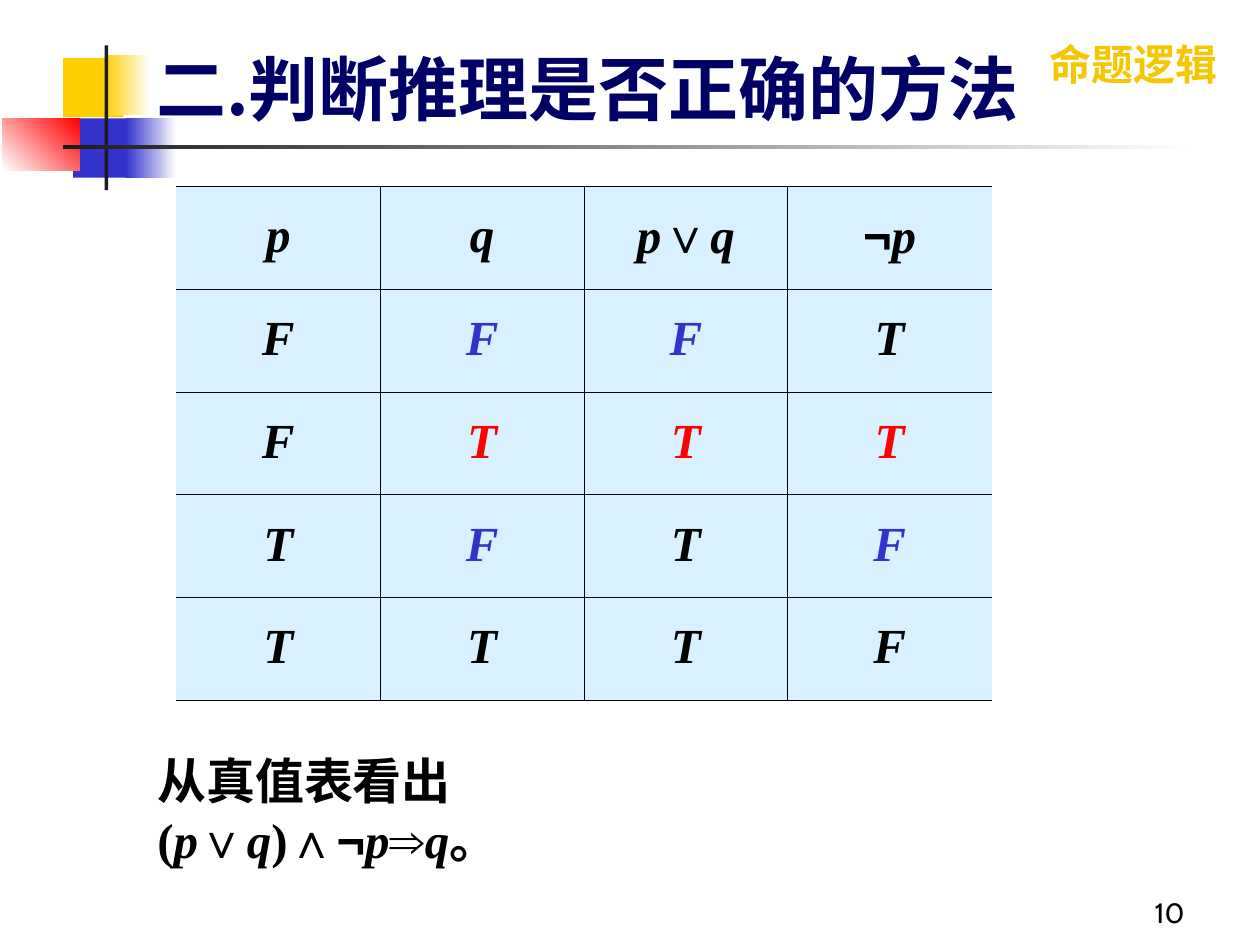
from lxml import etree
from pptx import Presentation
from pptx.dml.color import RGBColor
from pptx.enum.shapes import MSO_SHAPE
from pptx.enum.text import MSO_ANCHOR, MSO_AUTO_SIZE, PP_ALIGN
from pptx.oxml.ns import qn
from pptx.util import Inches, Pt

RECTANGLE = MSO_SHAPE.RECTANGLE
BOTTOM, TOP = MSO_ANCHOR.BOTTOM, MSO_ANCHOR.TOP
LEFT, CENTER, RIGHT = PP_ALIGN.LEFT, PP_ALIGN.CENTER, PP_ALIGN.RIGHT
NO_AUTO_SIZE = MSO_AUTO_SIZE.NONE

SERIF, SANS, CJK, BODY = "Times New Roman", "Arial", "Noto Sans CJK SC", "Cabin"
BLACK, WHITE, RED, BLUE = "000000", "FFFFFF", "FF0000", "3333CC"
YELLOW, GOLD, NAVY, CHARCOAL, PALE_BLUE = "FFCF01", "F6C700", "000066", "1C1C1C", "D9F1FF"
OUTER_WIDTH, INNER_WIDTH = 1.08, 0.45

HEADINGS = ["p", "q", "p∨q", "¬p"]
TRUTH_ROWS = ["FFFT", "FTTT", "TFTF", "TTTF"]
CELL_COLORS = {(1, 1): BLUE, (1, 2): BLUE, (2, 1): RED, (2, 2): RED,
               (2, 3): RED, (3, 1): BLUE, (3, 3): BLUE}


def color(value):
    return RGBColor.from_string(value)


def add_block(page, area, start, end=None, angle=0):
    block = page.shapes.add_shape(RECTANGLE, *map(Inches, area))
    block.shadow.inherit = False
    block.line.fill.background()
    if end is None:
        block.fill.solid()
        block.fill.fore_color.rgb = color(start)
        return
    block.fill.gradient()
    block.fill.gradient_angle = angle
    for stop, shade in zip(block.fill.gradient_stops, (start, end)):
        stop.color.rgb = color(shade)


def add_span(para, text, size, font, shade=BLACK, bold=True, italic=False):
    span = para.add_run()
    span.text = text
    span.font.size = Pt(size)
    span.font.name = font
    span.font.bold = bold
    span.font.italic = italic
    span.font.color.rgb = color(shade)
    if font == CJK:
        east_asian = etree.SubElement(span.font._element, qn("a:ea"))
        east_asian.set("typeface", font)


def add_formula(para, formula, shade=BLACK):
    for symbol in formula:
        font = SANS if symbol in "∨∧¬⇒" else SERIF
        add_span(para, symbol, 28, font, shade, italic=symbol.isalpha())


def add_text_box(page, area, anchor=TOP, align=LEFT, wrap=False):
    box = page.shapes.add_textbox(*map(Inches, area))
    frame = box.text_frame
    frame.auto_size = NO_AUTO_SIZE
    frame.word_wrap = wrap
    frame.vertical_anchor = anchor
    para = frame.paragraphs[0]
    para.alignment = align
    return para


def add_title(page, text):
    title = page.shapes.title
    title.left, title.top = Inches(1.14), Inches(0.21)
    title.width, title.height = Inches(8.03), Inches(0.87)
    page.shapes._spTree.append(title._element)
    frame = title.text_frame
    frame.auto_size = NO_AUTO_SIZE
    frame.word_wrap = True
    frame.vertical_anchor = BOTTOM
    para = frame.paragraphs[0]
    para.alignment = LEFT
    add_span(para, text, 40, CJK, NAVY)


def set_border(cell, side, width):
    line = etree.SubElement(cell._tc.get_or_add_tcPr(), qn("a:ln" + side))
    if not width:
        etree.SubElement(line, qn("a:noFill"))
        return
    line.set("w", str(int(Pt(width))))
    fill = etree.SubElement(line, qn("a:solidFill"))
    etree.SubElement(fill, qn("a:srgbClr")).set("val", BLACK)


def add_truth_table(page):
    rows = [HEADINGS] + TRUTH_ROWS
    last_row, last_column = len(rows) - 1, len(HEADINGS) - 1
    area = map(Inches, (1.4, 1.48, 6.47, 4.08))
    table = page.shapes.add_table(len(rows), len(HEADINGS), *area).table
    table.first_row = table.horz_banding = False
    for row, values in enumerate(rows):
        for column, value in enumerate(values):
            cell = table.cell(row, column)
            set_border(cell, "L", INNER_WIDTH if column > 0 else 0)
            set_border(cell, "R", INNER_WIDTH if column < last_column else 0)
            set_border(cell, "T", INNER_WIDTH if row > 0 else OUTER_WIDTH)
            set_border(cell, "B", INNER_WIDTH if row < last_row else OUTER_WIDTH)
            cell.fill.solid()
            cell.fill.fore_color.rgb = color(PALE_BLUE)
            para = cell.text_frame.paragraphs[0]
            para.alignment = CENTER
            para.line_spacing = 1.3
            add_formula(para, value, CELL_COLORS.get((row, column), BLACK))


def add_decoration(page):
    add_block(page, (0.5, 0.46, 0.48, 0.47), YELLOW)
    add_block(page, (0.83, 0.44, 0.36, 0.47), YELLOW, WHITE)
    add_block(page, (0.58, 0.94, 0.46, 0.47), BLUE)
    add_block(page, (1, 0.94, 0.4, 0.47), BLUE, WHITE)
    add_block(page, (0.02, 0.94, 0.61, 0.41), WHITE, RED, 45)
    add_block(page, (0.83, 0.36, 0.03, 1.15), CHARCOAL)
    add_block(page, (0.5, 1.15, 9, 0.03), CHARCOAL, WHITE)


def add_conclusion(page):
    para = add_text_box(page, (1.15, 5.91, 5.13, 0.57))
    add_span(para, "从真值表看出", 28, SERIF)
    para.add_line_break()
    add_formula(para, "(p∨q)∧¬p⇒q。")


def main():
    deck = Presentation()
    deck.slide_width, deck.slide_height = Inches(10), Inches(7.5)
    page = deck.slides.add_slide(deck.slide_layouts[5])
    add_decoration(page)
    chapter = add_text_box(page, (8.23, 0.26, 1.53, 0.5))
    add_span(chapter, "命题逻辑", 24, BODY, GOLD)
    number = add_text_box(page, (7.42, 6.92, 2.08, 0.5), BOTTOM, RIGHT, True)
    add_span(number, "10", 16, BODY, bold=False)
    add_title(page, "二.判断推理是否正确的方法")
    add_truth_table(page)
    add_conclusion(page)
    deck.save("out.pptx")


if __name__ == "__main__":
    main()
